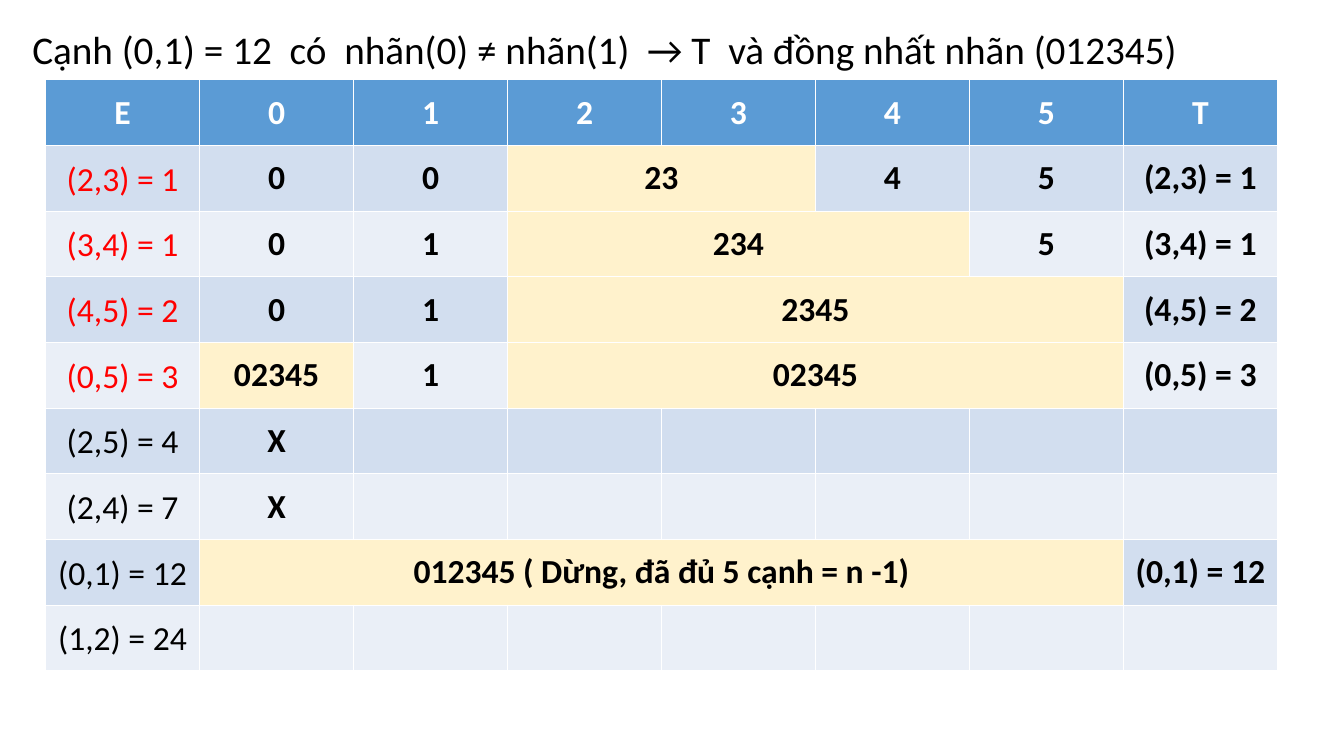
from pptx import Presentation
from pptx.dml.color import RGBColor
from pptx.enum.text import MSO_ANCHOR, PP_ALIGN
from pptx.oxml.xmlchemy import OxmlElement
from pptx.util import Cm, Pt

COLORS = {
    "head": "5B9BD5",
    "odd": "D2DEEF",
    "even": "EAEFF7",
    "join": "FFF2CC",
    "white": "FFFFFF",
    "black": "000000",
    "red": "FF0000",
}

HEAD = ["E", "0", "1", "2", "3", "4", "5", "T"]
# Each row: edge, its colour, labels as (text, columns covered), tree edge
ROWS = [
    ("(2,3) = 1", "red", [("0", 1), ("0", 1), ("23", 2), ("4", 1), ("5", 1)], "(2,3) = 1"),
    ("(3,4) = 1", "red", [("0", 1), ("1", 1), ("234", 3), ("5", 1)], "(3,4) = 1"),
    ("(4,5) = 2", "red", [("0", 1), ("1", 1), ("2345", 4)], "(4,5) = 2"),
    ("(0,5) = 3", "red", [("02345", 1), ("1", 1), ("02345", 4)], "(0,5) = 3"),
    ("(2,5) = 4", "black", [("X", 1)], ""),
    ("(2,4) = 7", "black", [("X", 1)], ""),
    ("(0,1) = 12", "black", [("012345 ( Dừng, đã đủ 5 cạnh = n -1)", 6)], "(0,1) = 12"),
    ("(1,2) = 24", "black", [], ""),
]


class Deck:
    font = "Calibri"

    def __init__(self):
        self.prs = Presentation()
        self.prs.slide_width, self.prs.slide_height = Cm(33.87), Cm(19.05)
        self.slide = self.prs.slides.add_slide(self.prs.slide_layouts[1])
        title = self.slide.shapes.title.element
        title.getparent().remove(title)

    def style(self, para, size, color, bold=False):
        for run in para.runs:
            run.font.name, run.font.size, run.font.bold = self.font, Pt(size), bold
            run.font.color.rgb = RGBColor.from_string(COLORS[color])

    def body(self, text, left, top, width, height):
        shape = self.slide.placeholders[1]
        shape.left, shape.top = Cm(left), Cm(top)
        shape.width, shape.height = Cm(width), Cm(height)
        shape.text_frame.text = text
        para = shape.text_frame.paragraphs[0]
        para.line_spacing, para.space_before = 0.9, Pt(10)
        props = para._p.get_or_add_pPr()
        props.set("marL", "0")
        props.set("indent", "0")
        props.append(OxmlElement("a:buNone"))
        self.style(para, 28, "black")

    def table(self, rows, cols, left, top, width, height):
        frame = self.slide.shapes.add_table(
            rows, cols, Cm(left), Cm(top), Cm(width), Cm(height))
        return frame.table

    def cell(self, cell, text, fill, color="black", bold=True):
        cell.fill.solid()
        cell.fill.fore_color.rgb = RGBColor.from_string(COLORS[fill])
        cell.vertical_anchor = MSO_ANCHOR.MIDDLE
        cell.text_frame.text = text
        para = cell.text_frame.paragraphs[0]
        para.alignment = PP_ALIGN.CENTER
        self.style(para, 24, color, bold)

    def edge(self, cell, text, fill, color):
        self.cell(cell, text, fill, color, bold=False)
        cell.margin_left = cell.margin_right = Cm(0.18)
        cell.margin_top = cell.margin_bottom = 0
        cell.text_frame.paragraphs[0].line_spacing = 1.07


def main():
    deck = Deck()

    # Current step
    deck.body("Cạnh (0,1) = 12  có  nhãn(0) ≠ nhãn(1)  → T  và đồng nhất nhãn (012345)",
              0.56, 0.64, 32.77, 18)

    # Table header
    last = len(HEAD) - 1
    grid = deck.table(len(ROWS) + 1, len(HEAD), 1.15, 2.01, 31.04, 14.9)
    for col, text in enumerate(HEAD):
        deck.cell(grid.cell(0, col), text, "head", "white")

    # Edges, vertex labels and tree
    for row, (edge, color, labels, tree) in enumerate(ROWS, 1):
        band = "odd" if row % 2 else "even"
        deck.edge(grid.cell(row, 0), edge, band, color)
        for col in range(1, last):
            deck.cell(grid.cell(row, col), "", band)
        deck.cell(grid.cell(row, last), tree, band)
        col = 1
        for text, span in labels:
            cell = grid.cell(row, col)
            if span > 1:
                cell.merge(grid.cell(row, col + span - 1))
            deck.cell(cell, text, "join" if len(text) > 1 else band)
            col += span

    deck.prs.save("out.pptx")


if __name__ == "__main__":
    main()
